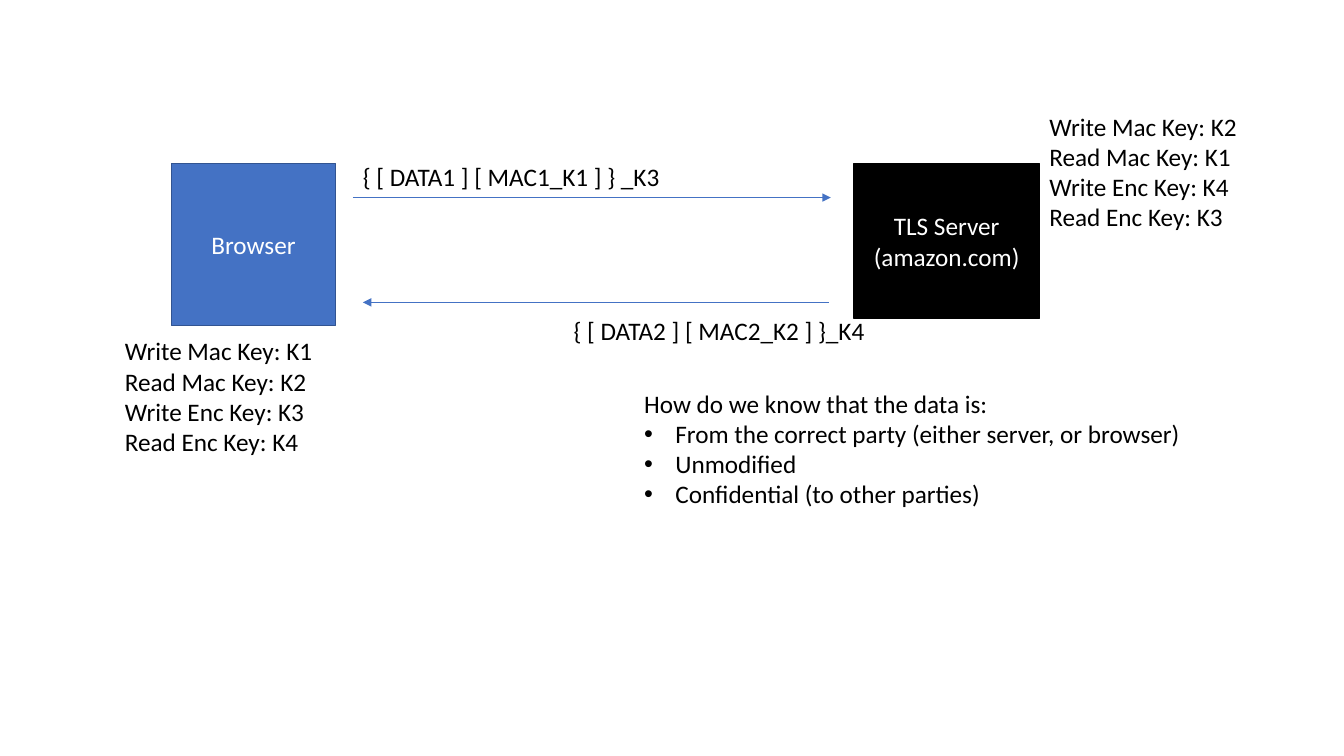
from dataclasses import dataclass

from lxml import etree
from pptx import Presentation
from pptx.dml.color import RGBColor
from pptx.enum.shapes import MSO_CONNECTOR, MSO_SHAPE
from pptx.enum.text import MSO_ANCHOR, PP_ALIGN
from pptx.oxml.ns import qn
from pptx.util import Inches, Pt

RECT = MSO_SHAPE.RECTANGLE
STRAIGHT = MSO_CONNECTOR.STRAIGHT
MIDDLE = MSO_ANCHOR.MIDDLE
LEFT, CENTER = PP_ALIGN.LEFT, PP_ALIGN.CENTER


@dataclass(frozen=True)
class Theme:
    font: str = "Calibri"
    size: float = 18
    blue: str = "4472C4"
    edge: str = "325491"
    black: str = "000000"
    white: str = "FFFFFF"
    border: float = 1
    arrow: float = 1.25
    indent: float = 0.31


THEME = Theme()


def rgb(code):
    return RGBColor.from_string(code)


def add_bullet(para):
    props = para._p.get_or_add_pPr()
    props.set("marL", str(Inches(THEME.indent)))
    props.set("indent", str(-Inches(THEME.indent)))
    etree.SubElement(props, qn("a:buFont")).set("typeface", "Arial")
    etree.SubElement(props, qn("a:buChar")).set("char", "•")


def write(frame, lines, color, align=LEFT, bullets=False):
    """Put one line in each paragraph; with bullets, mark all but the first."""
    for i, line in enumerate(lines):
        para = frame.paragraphs[0] if i == 0 else frame.add_paragraph()
        if bullets and i > 0:
            add_bullet(para)
        para.alignment = align
        run = para.add_run()
        run.text = line
        run.font.name = THEME.font
        run.font.size = Pt(THEME.size)
        run.font.color.rgb = rgb(color)


def add_node(slide, box, lines, fill, edge):
    node = slide.shapes.add_shape(RECT, *map(Inches, box))
    node.shadow.inherit = False
    node.fill.solid()
    node.fill.fore_color.rgb = rgb(fill)
    node.line.color.rgb = rgb(edge)
    node.line.width = Pt(THEME.border)
    node.text_frame.word_wrap = True
    node.text_frame.vertical_anchor = MIDDLE
    write(node.text_frame, lines, THEME.white, CENTER)


def add_label(slide, box, lines, wrap=False, bullets=False):
    label = slide.shapes.add_textbox(*map(Inches, box))
    label.text_frame.word_wrap = wrap
    write(label.text_frame, lines, THEME.black, bullets=bullets)


def add_keys(slide, left, top, keys):
    """List the four session keys one side holds."""
    names = [f"{use} {kind} Key" for kind in ("Mac", "Enc")
             for use in ("Write", "Read")]
    lines = [f"{name}: {key}" for name, key in zip(names, keys)]
    add_label(slide, (left, top, 2.08, 1.31), lines)


def add_arrow(slide, start, end, top):
    arrow = slide.shapes.add_connector(
        STRAIGHT, Inches(start), Inches(top), Inches(end), Inches(top))
    arrow.line.color.rgb = rgb(THEME.blue)
    arrow.line.width = Pt(THEME.arrow)
    etree.SubElement(arrow.line._get_or_add_ln(),
                     qn("a:tailEnd")).set("type", "triangle")
    etree.SubElement(arrow._element.spPr, qn("a:effectLst"))


def add_browser(slide, box):
    left, top, _, height = box
    add_node(slide, box, ["Browser"], THEME.blue, THEME.edge)
    add_keys(slide, left - 0.56, top + height + 0.05,
             ("K1", "K2", "K3", "K4"))


def add_server(slide, box):
    left, top, width, _ = box
    add_node(slide, box, ["TLS Server", "(amazon.com)"],
             THEME.black, THEME.black)
    add_keys(slide, left + width, top - 0.57, ("K2", "K1", "K4", "K3"))


def add_traffic(slide, box):
    """Draw the request along the top of the box and the reply below it."""
    left, top, width, height = box
    right, bottom = left + width, top + height
    add_arrow(slide, left, right, top)
    add_arrow(slide, right - 0.02, left + 0.1, bottom)
    add_label(slide, (left, top - 0.41, 3.18, 0.4),
              ["{ [ DATA1 ] [ MAC1_K1 ] } _K3"])
    add_label(slide, (left + 2.09, bottom + 0.08, 3.12, 0.4),
              ["{ [ DATA2 ] [ MAC2_K2 ] }_K4"])


def add_goals(slide, box):
    add_label(slide, box, [
        "How do we know that the data is:",
        "From the correct party (either server, or browser)",
        "Unmodified",
        "Confidential (to other parties)",
    ], wrap=True, bullets=True)


def main():
    deck = Presentation()
    deck.slide_width, deck.slide_height = Inches(13.33), Inches(7.5)
    slide = deck.slides.add_slide(deck.slide_layouts[6])
    add_browser(slide, (1.7, 1.62, 1.63, 1.61))
    add_server(slide, (8.47, 1.62, 1.84, 1.54))
    add_traffic(slide, (3.5, 1.96, 4.74, 1.04))
    add_goals(slide, (6.29, 3.8, 5.79, 1.31))
    deck.save("out.pptx")


if __name__ == "__main__":
    main()
